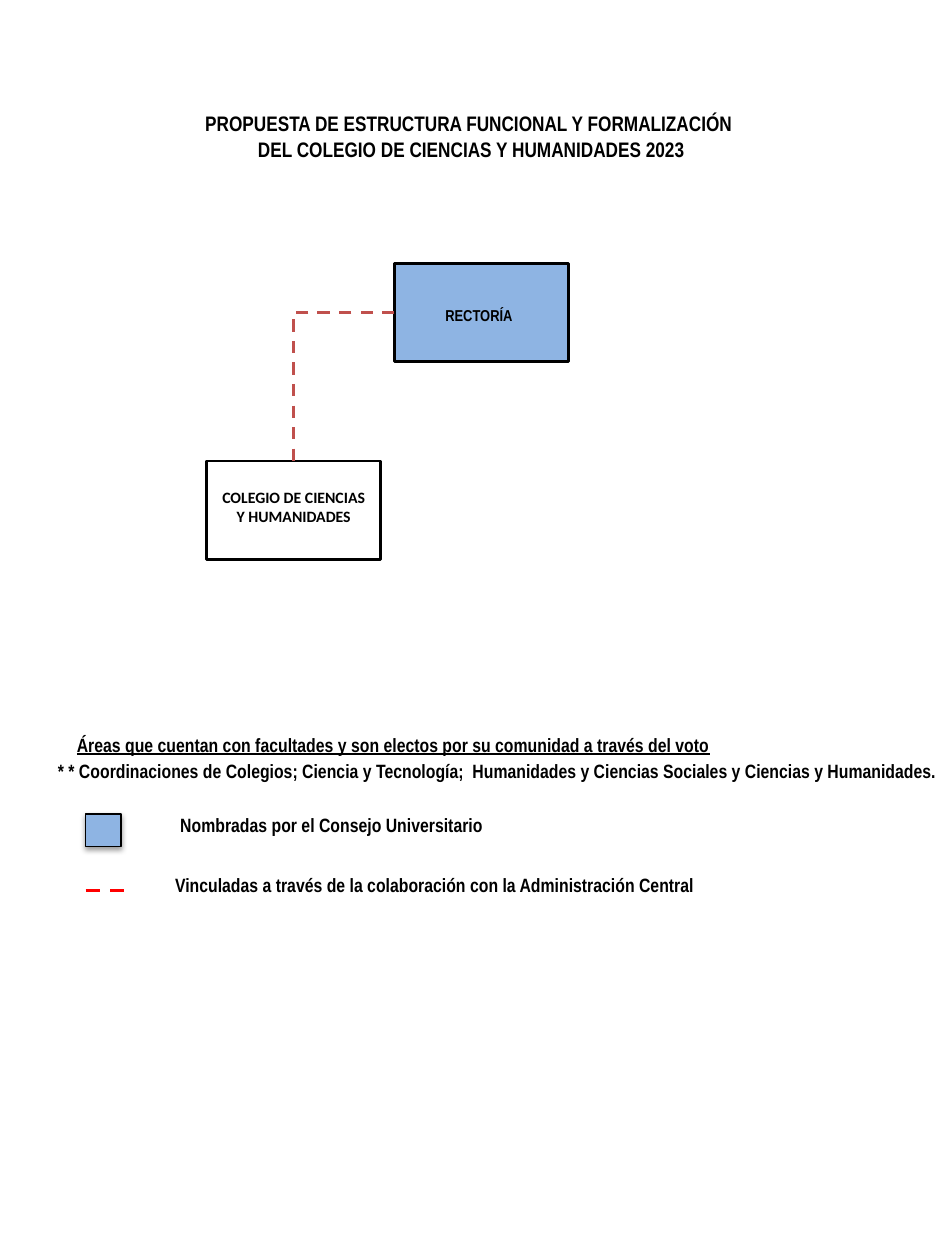
"""Builds the organisation chart slide of the Colegio de Ciencias y Humanidades."""
import pptx
import pptx.dml.color
import pptx.enum.dml
import pptx.enum.shapes
import pptx.enum.text
import pptx.oxml
import pptx.oxml.ns
import pptx.util

Pt = pptx.util.Pt
SHAPES = pptx.enum.shapes.MSO_SHAPE
CONNECTORS = pptx.enum.shapes.MSO_CONNECTOR
ALIGN = pptx.enum.text.PP_ALIGN
ANCHOR = pptx.enum.text.MSO_ANCHOR

COLORS = {"blue": "8EB4E3", "black": "000000", "link": "C0504D", "key": "FF0000"}
NARROW = "Arial Narrow"
LEFT_SIDE, TOP_SIDE = 1, 0
BOX_SIZE = (99.4, 56.2)

TITLE = [
    "PROPUESTA DE ESTRUCTURA FUNCIONAL Y FORMALIZACIÓN ",
    "DEL COLEGIO DE CIENCIAS Y HUMANIDADES 2023",
]
BOXES = [
    ("RECTORÍA", SHAPES.FLOWCHART_PROCESS, (225.4, 150.5), "blue", NARROW, (2.9, 6, 5.8, 3)),
    ("COLEGIO DE CIENCIAS Y HUMANIDADES", SHAPES.RECTANGLE, (118.1, 263.5), None, "Calibri",
     (7.2, 3.6, 7.2, 7.2)),
]
NOTES = [
    ("Nombradas por el Consejo Universitario", (103, 457.9, 204.5), 0, False),
    ("Vinculadas a través de la colaboración con la Administración Central",
     (100, 492.5, 323.3), 0, False),
    ("* * Coordinaciones de Colegios; Ciencia y Tecnología;  Humanidades y Ciencias Sociales "
     "y Ciencias y Humanidades.", (15.1, 427, 563), 18, False),
    ("Áreas que cuentan con facultades y son electos por su comunidad a través del voto",
     (25.9, 412.6, 414), 18, True),
]
NOTE_HEIGHT = 31.7
SWATCH = (49, 465.1, 20.2, 18.7)
KEY_LINE = (49, 509, 71.3, 509)
SHADOW = (
    '<a:effectLst xmlns:a="http://schemas.openxmlformats.org/drawingml/2006/main">'
    '<a:outerShdw blurRad="{blur}" dist="{distance}" dir="5400000" rotWithShape="0">'
    '<a:srgbClr val="{color}"><a:alpha val="38000"/></a:srgbClr>'
    "</a:outerShdw></a:effectLst>"
)


def points(values):
    return [Pt(value) for value in values]


def rgb(name):
    return pptx.dml.color.RGBColor.from_string(COLORS[name])


def write(shape, lines, font_name, size, insets, align, anchor=ANCHOR.TOP, underline=False):
    frame = shape.text_frame
    frame.word_wrap = True
    frame.vertical_anchor = anchor
    frame.margin_left, frame.margin_top, frame.margin_right, frame.margin_bottom = points(insets)
    for index, line in enumerate(lines):
        paragraph = frame.add_paragraph() if index else frame.paragraphs[0]
        paragraph.alignment = align
        run = paragraph.add_run()
        run.text = line
        run.font.name = font_name
        run.font.size = Pt(size)
        run.font.bold = True
        run.font.underline = underline
        run.font.color.rgb = rgb("black")


def add_box(slide, kind, place, fill, line_width):
    shape = slide.shapes.add_shape(kind, *points(place))
    shape.shadow.inherit = False
    if fill:
        shape.fill.solid()
        shape.fill.fore_color.rgb = rgb(fill)
    else:
        shape.fill.background()
    shape.line.color.rgb = rgb("black")
    shape.line.width = Pt(line_width)
    return shape


def add_dashed_line(slide, kind, ends, color, width):
    connector = slide.shapes.add_connector(kind, *points(ends))
    connector.line.color.rgb = rgb(color)
    connector.line.width = Pt(width)
    connector.line.dash_style = pptx.enum.dml.MSO_LINE.DASH
    properties = connector.element.spPr
    properties.append(properties.makeelement(pptx.oxml.ns.qn("a:effectLst"), {}))
    return connector


def main():
    presentation = pptx.Presentation()
    presentation.slide_width, presentation.slide_height = points((540, 720))
    slide = presentation.slides.add_slide(presentation.slide_layouts[6])

    title = slide.shapes.add_textbox(*points((88.6, 59.8, 361.4, 36)))
    write(title, TITLE, NARROW, 12, (7.2, 3.6, 7.2, 3.6), ALIGN.CENTER)

    boxes = []
    for text, kind, corner, fill, font_name, insets in BOXES:
        box = add_box(slide, kind, corner + BOX_SIZE, fill, 1.5)
        write(box, [text], font_name, 9, insets, ALIGN.CENTER, ANCHOR.MIDDLE)
        boxes.append(box)

    rectory, college = boxes
    link = add_dashed_line(slide, CONNECTORS.ELBOW, (0, 0, 0, 0), "link", 1.75)
    link.begin_connect(rectory, LEFT_SIDE)
    link.end_connect(college, TOP_SIDE)
    link.element.spPr.find(pptx.oxml.ns.qn("a:prstGeom")).set("prst", "bentConnector2")

    swatch = add_box(slide, SHAPES.RECTANGLE, SWATCH, "blue", 0.75)
    properties = swatch.element.spPr
    shadow = SHADOW.format(blur=Pt(3.1), distance=Pt(1.6), color=COLORS["black"])
    properties.replace(
        properties.find(pptx.oxml.ns.qn("a:effectLst")), pptx.oxml.parse_xml(shadow))
    add_dashed_line(slide, CONNECTORS.STRAIGHT, KEY_LINE, "key", 2)

    for text, place, indent, underline in NOTES:
        note = slide.shapes.add_textbox(*points(place + (NOTE_HEIGHT,)))
        write(note, [text], NARROW, 11, (indent, 8.6, 18, 8.6), ALIGN.LEFT, underline=underline)

    presentation.save("out.pptx")


if __name__ == "__main__":
    main()
